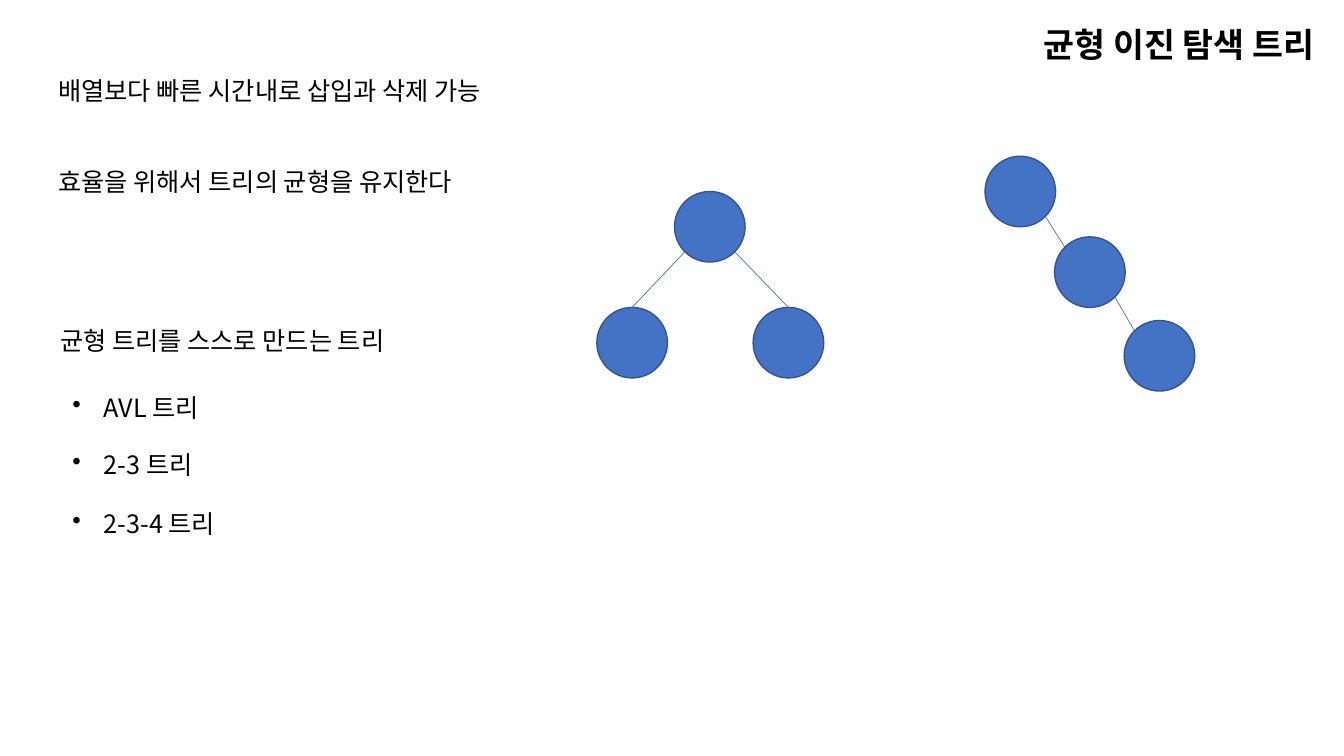
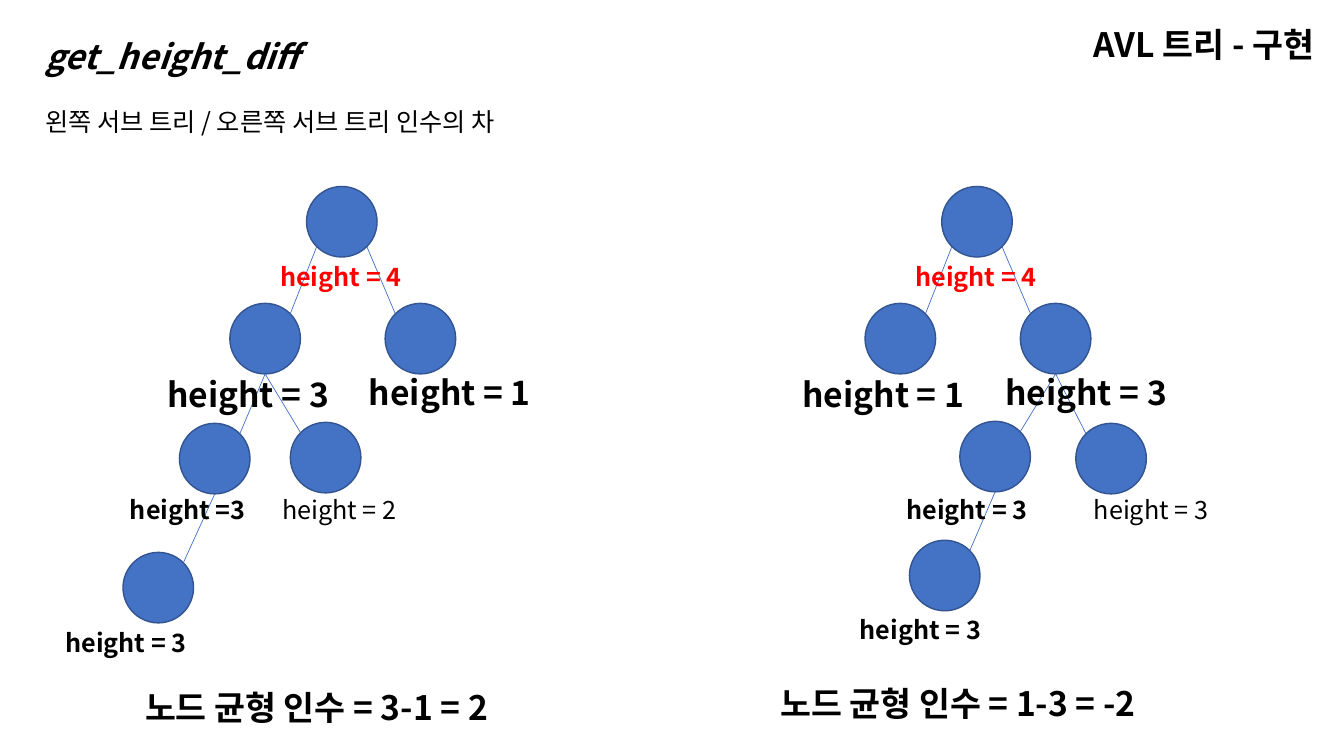
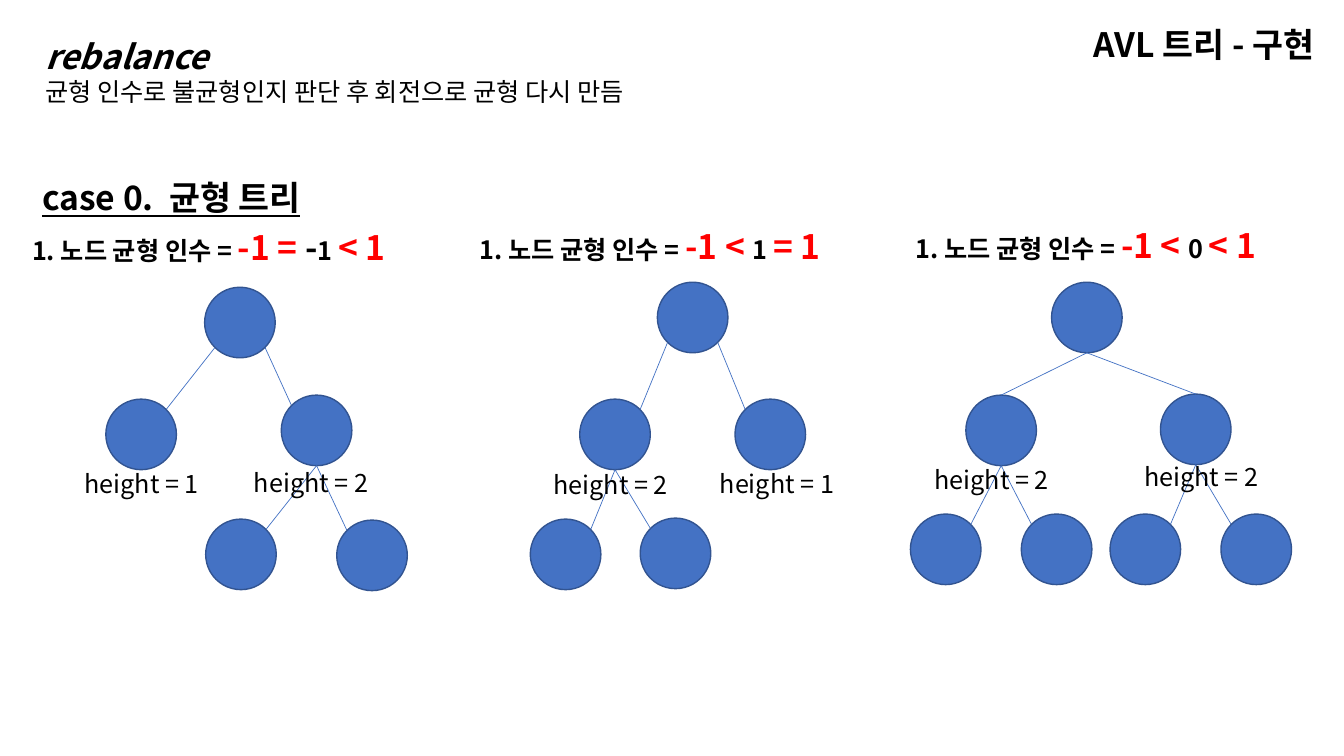
from pptx import Presentation
from pptx.dml.color import RGBColor
from pptx.enum.shapes import MSO_CONNECTOR, MSO_SHAPE
from pptx.enum.text import MSO_AUTO_SIZE as AutoSize, PP_ALIGN as Align
from pptx.oxml.ns import qn
from pptx.util import Inches, Pt
from lxml.etree import SubElement

FONT = "Noto Sans CJK KR"
COLORS = {"text": "000000", "alert": "FF0000", "node": "4472C4", "rim": "325491"}
NODE = 0.7
CORNER = 0.25  # distance from a node's centre to its diagonal points
BLANK_LINE = 21.6

# style: size, bold, italic, underline, colour
STYLES = {
    "plain": (18, False, False, False, "text"),
    "bold": (18, True, False, False, "text"),
    "large": (24, True, False, False, "text"),
    "alert": (18, True, False, False, "alert"),
    "big alert": (24, True, False, False, "alert"),
    "function": (24, True, True, False, "text"),
    "case": (24, True, False, True, "text"),
}
# edge: leaves the parent at a corner, reaches the child at a corner
EDGES = {
    "corners": (True, True),
    "stem": (False, True),
    "perch": (True, False),
    "fork": (False, False),
}
FORMULA = ("1. 노드 균형 인수 = ", "bold")

# label: left, top, width, paragraphs; a paragraph is a list of (text, style)
# node: left, top, parent index, edge
SLIDES = [
    {
        "title": "균형 이진 탐색 트리",
        "labels": [
            (0.48, 0.7, 4.94, [[("배열보다 빠른 시간내로 삽입과 삭제 가능", "plain")]]),
            (0.48, 1.6, 4.6, [[("효율을 위해서 트리의 균형을 유지한다", "plain")]]),
            (0.5, 3.18, 3.93, [[("균형 트리를 스스로 만드는 트리 ", "plain")]]),
        ],
        "bullets": [
            (0.62, 3.84, 1.54, [[("AVL 트리", "plain")]]),
            (0.62, 4.41, 1.49, [[("2-3 트리", "plain")]]),
            (0.62, 4.99, 1.73, [[("2-3-4 트리", "plain")]]),
        ],
        "trees": [
            [(6.69, 1.9, None, None), (5.92, 3.05, 0, "perch"), (7.47, 3.05, 0, "perch")],
            [(9.77, 1.55, None, None), (10.46, 2.35, 0, "corners"),
             (11.15, 3.18, 1, "corners")],
        ],
    },
    {
        "title": "AVL 트리 - 구현",
        "gap": BLANK_LINE,
        "labels": [
            (0.35, 0.31, 5.31, [[("get_height_diff ", "function")],
                                [("왼쪽 서브 트리 / 오른쪽 서브 트리 인수의 차", "plain")]]),
            (2.68, 2.54, 1.48, [[("height = 4", "alert")]]),
            (1.56, 3.66, 1.91, [[("height = 3", "large")]]),
            (3.56, 3.64, 1.91, [[("height = 1", "large")]]),
            (1.19, 4.85, 1.39, [[("height =3", "bold")]]),
            (2.7, 4.86, 1.42, [[("height = 2", "plain")]]),
            (0.55, 6.17, 1.48, [[("height = 3", "bold")]]),
            (1.34, 6.77, 4.14, [[("노드 균형 인수 = 3-1 = 2", "large")]]),
            (8.98, 2.54, 1.48, [[("height = 4", "alert")]]),
            (7.86, 3.66, 1.91, [[("height = 1", "large")]]),
            (9.87, 3.64, 1.91, [[("height = 3", "large")]]),
            (8.89, 4.85, 1.48, [[("height = 3", "bold")]]),
            (10.75, 4.86, 1.42, [[("height = 3", "plain")]]),
            (8.43, 6.05, 1.48, [[("height = 3", "bold")]]),
            (7.64, 6.73, 4.28, [[("노드 균형 인수 = 1-3 = -2", "large")]]),
        ],
        "trees": [
            [(3.04, 1.85, None, None), (2.28, 3.01, 0, "corners"),
             (3.82, 3.01, 0, "corners"), (1.78, 4.2, 1, "stem"),
             (2.88, 4.19, 1, "stem"), (1.22, 5.48, 3, "stem")],
            [(9.34, 1.85, None, None), (8.58, 3.01, 0, "corners"),
             (10.12, 3.01, 0, "corners"), (9.52, 4.18, 2, "stem"),
             (10.67, 4.2, 2, "stem"), (9.02, 5.36, 3, "stem")],
        ],
    },
    {
        "title": "AVL 트리 - 구현",
        "labels": [
            (0.35, 0.31, 6.72, [[("rebalance", "function")],
                                [("균형 인수로 불균형인지 판단 후 회전으로 균형 다시 만듬", "plain")]]),
            (0.32, 1.71, 3, [[("case 0.  균형 트리", "case")]]),
            (0.22, 2.2, 4.3, [[FORMULA, ("-1 = ", "big alert"), ("-", "large"),
                               ("1 ", "bold"), ("< 1", "big alert")]]),
            (4.66, 2.19, 4.3, [[FORMULA, ("-1 < ", "big alert"), ("1 ", "bold"),
                                ("= 1", "big alert")]]),
            (8.98, 2.18, 4.21, [[FORMULA, ("-1 < ", "big alert"), ("0 ", "bold"),
                                 ("< 1", "big alert")]]),
            (0.74, 4.6, 1.42, [[("height = 1", "plain")]]),
            (2.42, 4.59, 1.42, [[("height = 2", "plain")]]),
            (5.39, 4.61, 1.42, [[("height = 2", "plain")]]),
            (7.04, 4.6, 1.42, [[("height = 1", "plain")]]),
            (9.17, 4.56, 1.42, [[("height = 2", "plain")]]),
            (11.25, 4.53, 1.42, [[("height = 2", "plain")]]),
        ],
        "trees": [
            [(2.03, 2.85, None, None), (1.05, 3.96, 0, "corners"),
             (2.79, 3.92, 0, "corners"), (2.04, 5.15, 2, "stem"), (3.34, 5.16, 2, "stem")],
            [(6.52, 2.8, None, None), (5.75, 3.96, 0, "corners"),
             (7.29, 3.96, 0, "corners"), (5.26, 5.15, 1, "stem"), (6.35, 5.14, 1, "stem")],
            [(10.43, 2.8, None, None), (9.58, 3.92, 0, "fork"), (11.51, 3.91, 0, "fork"),
             (9.03, 5.1, 1, "stem"), (10.13, 5.1, 1, "stem"),
             (11.01, 5.1, 2, "stem"), (12.11, 5.1, 2, "stem")],
        ],
    },
]


def rgb(name):
    """Return the named colour."""
    return RGBColor.from_string(COLORS[name])


def set_font(font, style):
    """Apply a named style to a paragraph's or a run's font."""
    size, font.bold, font.italic, font.underline, color = STYLES[style]
    font.size = Pt(size)
    font.color.rgb = rgb(color)
    font.name = FONT
    SubElement(font._element, qn("a:ea"), typeface=FONT)


def add_bullet(para):
    """Give a paragraph a round bullet and a hanging indent."""
    props = para._p.get_or_add_pPr()
    props.set("marL", str(Inches(0.31)))
    props.set("indent", str(-Inches(0.31)))
    mark = SubElement(props, qn("a:buChar"), char="•")
    props.insert(0, mark)


def add_label(page, left, top, width, paragraphs, gap=0, wrap=False,
              align=Align.LEFT, bullet=False):
    """Add a text box as high as its lines, with a gap between paragraphs."""
    height = 0.1 + sum(max(STYLES[style][0] for _, style in spans)
                       for spans in paragraphs) / 60
    box = page.shapes.add_textbox(Inches(left), Inches(top), Inches(width), Inches(height))
    frame = box.text_frame
    frame.word_wrap = wrap
    frame.auto_size = AutoSize.SHAPE_TO_FIT_TEXT
    for index, spans in enumerate(paragraphs):
        para = frame.add_paragraph() if index else frame.paragraphs[0]
        para.alignment = align
        if index and gap:
            para.space_before = Pt(gap)
        if len(spans) == 1:
            set_font(para.font, spans[0][1])
        for text, style in spans:
            span = para.add_run()
            span.text = text
            if len(spans) > 1:
                set_font(span.font, style)
        if bullet:
            add_bullet(para)


def add_node(page, left, top):
    """Add one round tree node."""
    node = page.shapes.add_shape(MSO_SHAPE.OVAL, Inches(left), Inches(top),
                                 Inches(NODE), Inches(NODE))
    node.shadow.inherit = False
    node.fill.solid()
    node.fill.fore_color.rgb = rgb("node")
    node.line.color.rgb = rgb("rim")
    node.line.width = Pt(1)


def add_edge(page, parent, child, kind):
    """Join a parent's lower side to its child's upper side."""
    leaves_corner, meets_corner = EDGES[kind]
    side = 1 if child[0] > parent[0] else -1
    half = NODE / 2
    ends = []
    for (left, top), corner, across, down in ((parent, leaves_corner, side, 1),
                                              (child, meets_corner, -side, -1)):
        shift = (across * CORNER, down * CORNER) if corner else (0, down * half)
        ends += [Inches(left + half + shift[0]), Inches(top + half + shift[1])]
    edge = page.shapes.add_connector(MSO_CONNECTOR.STRAIGHT, *ends)
    edge.line.color.rgb = rgb("node")
    edge.line.width = Pt(0.5)
    SubElement(edge._element.spPr, qn("a:effectLst"))


def add_tree(page, nodes):
    """Add a tree's nodes and the edges to their parents."""
    for left, top, parent, kind in nodes:
        add_node(page, left, top)
        if parent is not None:
            add_edge(page, nodes[parent][:2], (left, top), kind)


def build_slide(deck, content):
    """Add one slide with its title, trees and labels."""
    page = deck.slides.add_slide(deck.slide_layouts[6])
    add_label(page, 9.38, 0.19, 3.75, [[(content["title"], "large")]],
              wrap=True, align=Align.RIGHT)
    for nodes in content["trees"]:
        add_tree(page, nodes)
    for label in content["labels"]:
        add_label(page, *label, gap=content.get("gap", 0))
    for label in content.get("bullets", []):
        add_label(page, *label, bullet=True)


deck = Presentation()
deck.slide_width = Inches(13.33)
deck.slide_height = Inches(7.5)
for content in SLIDES:
    build_slide(deck, content)
deck.save("out.pptx")
